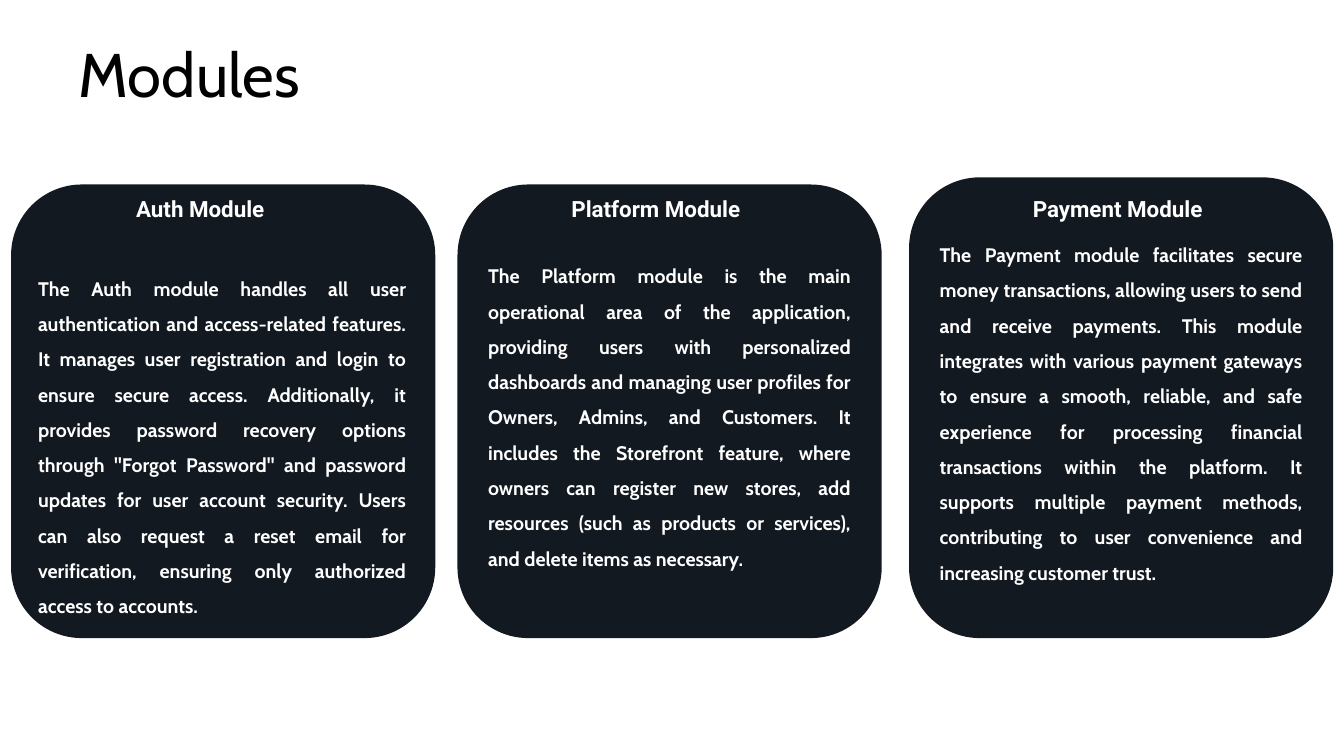
import pptx
import pptx.dml.color
import pptx.enum.shapes
import pptx.enum.text
import pptx.util

Cm = pptx.util.Cm
ALIGN = pptx.enum.text.PP_ALIGN
ANCHOR = pptx.enum.text.MSO_ANCHOR

# Content: heading, body text
TITLE = "Modules"
MODULES = [
    ("Auth Module",
     "The Auth module handles all user authentication and access-related features. "
     "It manages user registration and login to ensure secure access. Additionally, "
     "it provides password recovery options through \"Forgot Password\" and password "
     "updates for user account security. Users can also request a reset email for "
     "verification, ensuring only authorized access to accounts."),
    ("Platform Module",
     "The Platform module is the main operational area of the application, providing "
     "users with personalized dashboards and managing user profiles for Owners, Admins, "
     "and Customers. It includes the Storefront feature, where owners can register new "
     "stores, add resources (such as products or services), and delete items as necessary."),
    ("Payment Module",
     "The Payment module facilitates secure money transactions, allowing users to send "
     "and receive payments. This module integrates with various payment gateways to "
     "ensure a smooth, reliable, and safe experience for processing financial "
     "transactions within the platform. It supports multiple payment methods, "
     "contributing to user convenience and increasing customer trust."),
]

# Layout in cm: card left, card top, heading left, separate body box
PLACES = [
    (0.28, 4.65, 3.18, (0.71, 6.55, 9.78, 9.14)),
    (11.53, 4.65, 14.15, None),
    (22.91, 4.47, 25.78, None),
]
CARD_WIDTH, CARD_BOTTOM = 10.69, 16.08
HEADING_TOP, HEADING_WIDTH, HEADING_HEIGHT = 4.67, 6.17, 1.02
DARK, WHITE, BLACK = "131921", "FFFFFF", "000000"


def rgb(color):
    return pptx.dml.color.RGBColor.from_string(color)


def write(sp, text, font, size, color, bold, align, spacing, anchor=ANCHOR.TOP, wrap=True):
    tf = sp.text_frame
    tf.text = text
    tf.word_wrap = wrap
    tf.auto_size = pptx.enum.text.MSO_AUTO_SIZE.NONE
    tf.vertical_anchor = anchor
    p = tf.paragraphs[0]
    p.alignment = align
    p.line_spacing = spacing
    r = p.runs[0]
    r.font.name = font
    r.font.size = pptx.util.Pt(size)
    r.font.bold = bold
    r.font.color.rgb = rgb(color)


def add_box(slide, *box):
    return slide.shapes.add_textbox(*map(Cm, box))


def add_card(slide, *box):
    sp = slide.shapes.add_shape(pptx.enum.shapes.MSO_SHAPE.ROUNDED_RECTANGLE, *map(Cm, box))
    sp.shadow.inherit = False
    sp.fill.solid()
    sp.fill.fore_color.rgb = rgb(DARK)
    sp.line.fill.background()
    return sp


prs = pptx.Presentation()
prs.slide_width, prs.slide_height = Cm(33.87), Cm(19.05)
slide = prs.slides.add_slide(prs.slide_layouts[5])

# Title
title = slide.shapes.title
title.left, title.top, title.width, title.height = map(Cm, (1.73, 0.79, 6.58, 2.13))
write(title, TITLE, "Cabin", 44, BLACK, False, ALIGN.LEFT, 1.0, wrap=False)

# Module cards
for (heading, body), (left, top, heading_left, body_box) in zip(MODULES, PLACES):
    card = add_card(slide, left, top, CARD_WIDTH, CARD_BOTTOM - top)
    body_sp = add_box(slide, *body_box) if body_box else card
    write(body_sp, body, "Cabin", 14, WHITE, True, ALIGN.JUSTIFY, 1.5,
          ANCHOR.TOP if body_box else ANCHOR.MIDDLE)
    heading_sp = add_box(slide, heading_left, HEADING_TOP, HEADING_WIDTH, HEADING_HEIGHT)
    write(heading_sp, heading, "Roboto", 16, WHITE, True, ALIGN.LEFT, 1.2)

prs.save("out.pptx")
